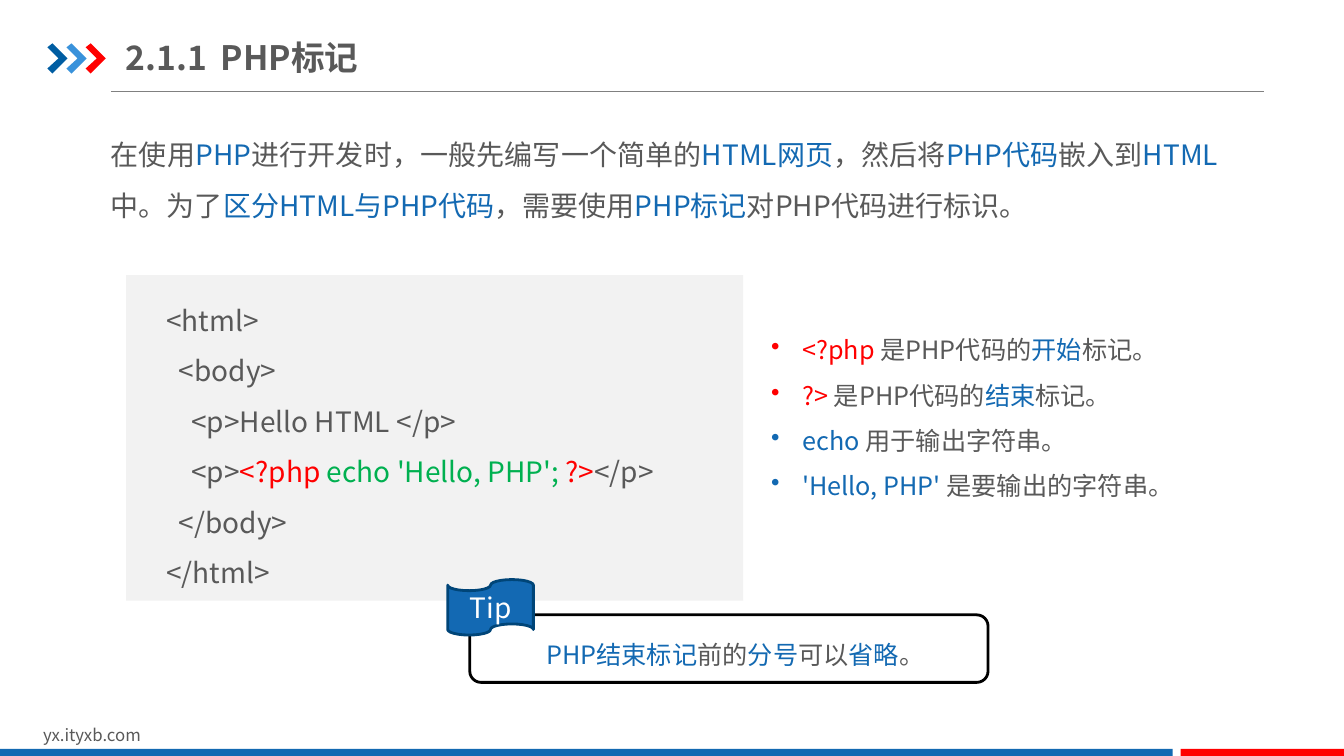
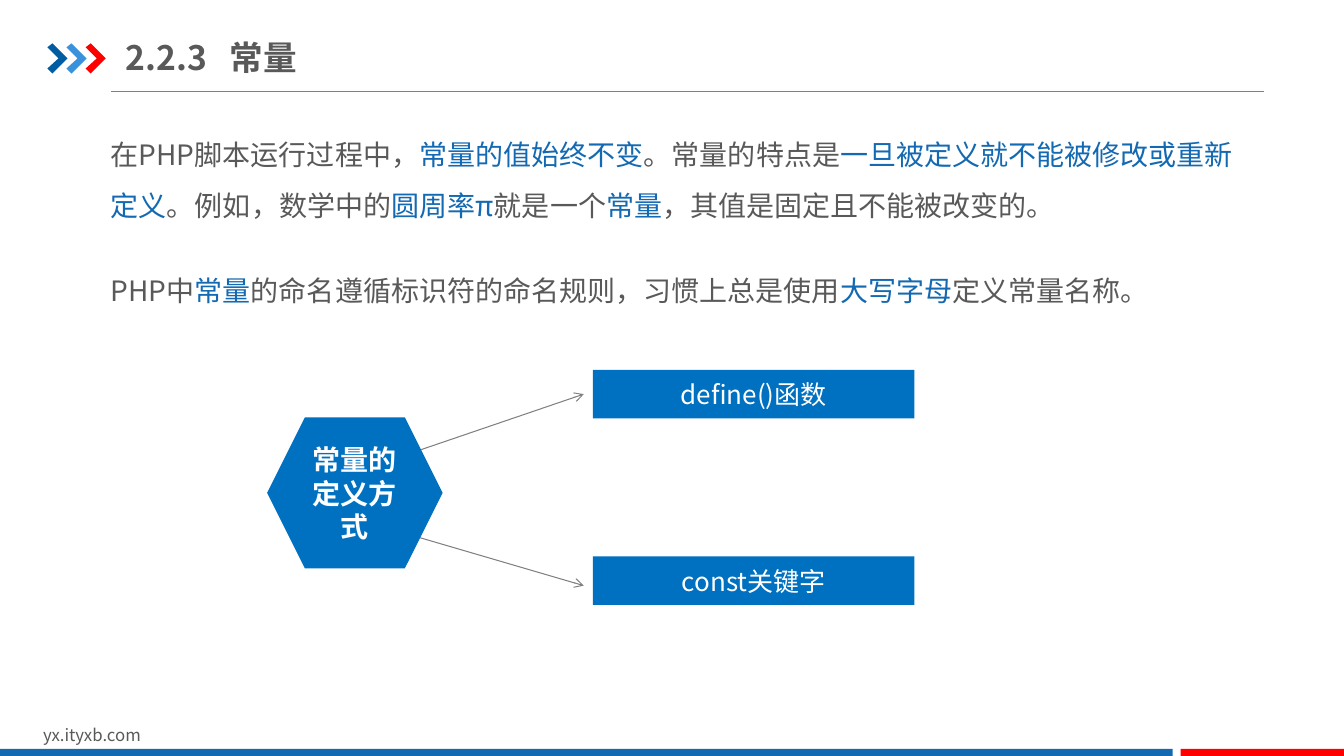
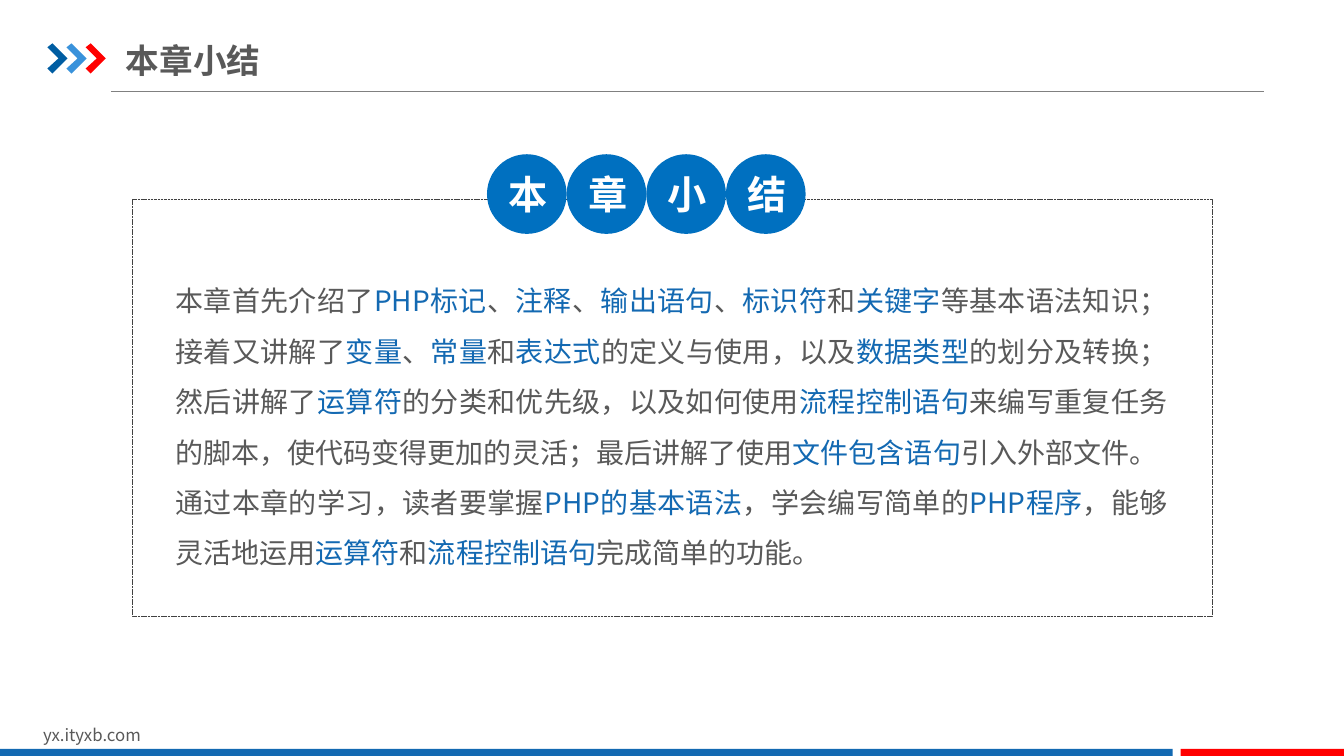
from dataclasses import dataclass
from itertools import cycle

from lxml import etree
from pptx import Presentation
from pptx.dml.color import RGBColor
from pptx.enum import dml, shapes, text
from pptx.oxml.ns import qn
from pptx.util import Inches, Pt


@dataclass(frozen=True)
class Theme:
    """Colours, font and type sizes of the deck."""
    font: str = "Noto Sans CJK SC"
    body: str = "595959"
    accent: str = "1369B2"
    red: str = "FF0000"
    green: str = "00B050"
    white: str = "FFFFFF"
    black: str = "000000"
    node: str = "0070C0"
    rule: str = "808080"
    panel: str = "F2F2F2"
    dash: str = "404040"
    tag: str = "1369B3"
    tag_line: str = "004578"
    chevrons: tuple = ("005DA2", "3992DB", "FF0000")
    badge_size: float = 28
    title_size: float = 24
    text_size: float = 20
    node_size: float = 18.6
    list_size: float = 18
    footer_size: float = 12


@dataclass(frozen=True)
class Box:
    """A rectangle in inches."""
    left: float
    top: float
    width: float
    height: float

    def inner(self, left, top, width, height):
        """Return a box placed relative to this one."""
        return Box(self.left + left, self.top + top, width, height)

    def emu(self):
        """Return the four lengths for python-pptx."""
        return [Inches(v) for v in (self.left, self.top, self.width, self.height)]


THEME = Theme()
MIXED = (THEME.body, THEME.accent)
ALIGN = text.PP_ALIGN
MIDDLE = text.MSO_ANCHOR.MIDDLE
SHAPE = shapes.MSO_SHAPE


def write_runs(para, line, size, palette, bold=False):
    """Write text split at bars, taking colours from the palette in turn."""
    for part, colour in zip(line.split("|"), cycle(palette)):
        if not part:
            continue
        span = para.add_run()
        span.text = part
        span.font.size = Pt(size)
        span.font.bold = bold
        span.font.color.rgb = RGBColor.from_string(colour)
        span.font.name = THEME.font
        props = span._r.get_or_add_rPr()
        etree.SubElement(props, qn("a:ea"), typeface=THEME.font)


def add_text(page, box, lines, size=THEME.text_size, palette=MIXED, spacing=1.5,
             align=ALIGN.LEFT, anchor=text.MSO_ANCHOR.TOP, insets=(0.1, 0.05),
             bold=False):
    """Add a text box; a line may be a pair of text and its own palette."""
    area = page.shapes.add_textbox(*box.emu())
    frame = area.text_frame
    frame.word_wrap = True
    frame.vertical_anchor = anchor
    frame.margin_left = frame.margin_right = Inches(insets[0])
    frame.margin_top = frame.margin_bottom = Inches(insets[1])
    for index, line in enumerate(lines):
        para = frame.paragraphs[0] if index == 0 else frame.add_paragraph()
        para.alignment = align
        para.line_spacing = spacing
        words, colours = (line, palette) if isinstance(line, str) else line
        write_runs(para, words, size, colours, bold)
    return frame


def add_block(page, box, kind, fill=None, line=None, width=1, label="",
              size=THEME.text_size, bold=False):
    """Add a preset shape with an optional centred white label."""
    block = page.shapes.add_shape(kind, *box.emu())
    block.shadow.inherit = False
    if fill:
        block.fill.solid()
        block.fill.fore_color.rgb = RGBColor.from_string(fill)
    else:
        block.fill.background()
    if line:
        block.line.color.rgb = RGBColor.from_string(line)
        block.line.width = Pt(width)
    else:
        block.line.fill.background()
    if label:
        frame = block.text_frame
        frame.word_wrap = True
        frame.vertical_anchor = MIDDLE
        frame.paragraphs[0].alignment = ALIGN.CENTER
        write_runs(frame.paragraphs[0], label, size, (THEME.white,), bold)
    return block


def add_rule(page, start, end, arrow=False):
    """Add a thin grey line, with an open arrowhead if asked."""
    rule = page.shapes.add_connector(
        shapes.MSO_CONNECTOR.STRAIGHT, *[Inches(v) for v in (*start, *end)])
    rule.line.color.rgb = RGBColor.from_string(THEME.rule)
    rule.line.width = Pt(0.75)
    if arrow:
        etree.SubElement(rule.line._get_or_add_ln(), qn("a:tailEnd"), type="arrow")
    etree.SubElement(rule._element.spPr, qn("a:effectLst"))


def add_chevrons(page, box):
    """Draw the row of three chevrons beside the title."""
    outline = [(0, 0.04), (0.05, 0), (0.2, 0.15), (0.05, 0.3), (0, 0.25), (0.11, 0.15)]
    group = page.shapes.add_group_shape()
    for index, colour in enumerate(THEME.chevrons):
        points = [(Inches(box.left + 0.19 * index + x), Inches(box.top + y))
                  for x, y in outline]
        builder = group.shapes.build_freeform(*points[0])
        builder.add_line_segments(points[1:], close=True)
        chevron = builder.convert_to_shape()
        chevron.shadow.inherit = False
        chevron.fill.solid()
        chevron.fill.fore_color.rgb = RGBColor.from_string(colour)
        chevron.line.fill.background()


def add_page(deck, title, title_box, tab=None):
    """Add a blank page with the shared title band and footer."""
    page = deck.slides.add_slide(deck.slide_layouts[6])
    add_rule(page, (1.1, 0.91), (12.54, 0.91))
    add_chevrons(page, Box(0.47, 0.43, 0.58, 0.3))
    add_text(page, Box(0.33, 7.14, 3.18, 0.3), ["yx.ityxb.com"],
             THEME.footer_size, spacing=1)
    add_block(page, Box(0, 7.43, 11.63, 0.09), SHAPE.RECTANGLE, THEME.accent)
    add_block(page, Box(11.71, 7.43, 1.63, 0.09), SHAPE.RECTANGLE, THEME.red)
    frame = add_text(page, title_box, [title], THEME.title_size, spacing=1,
                     anchor=MIDDLE, insets=(0, 0.07), bold=True)
    if tab:
        props = frame.paragraphs[0]._p.get_or_add_pPr()
        stops = etree.SubElement(props, qn("a:tabLst"))
        etree.SubElement(stops, qn("a:tab"), pos=str(Inches(tab)), algn="l")
    return page


def add_code(page, box, lines):
    """Show a code listing on a grey panel."""
    add_block(page, box, SHAPE.RECTANGLE, THEME.panel)
    add_text(page, box.inner(0.3, 0.05, box.width - 0.37, box.height - 0.1),
             lines, anchor=MIDDLE)


def add_bullets(page, box, lines):
    """Add a bulleted list with a hanging indent."""
    frame = add_text(page, box, lines, THEME.list_size, align=ALIGN.JUSTIFY)
    for para in frame.paragraphs:
        props = para._p.get_or_add_pPr()
        props.set("marL", str(Inches(0.31)))
        props.set("indent", str(-Inches(0.31)))
        etree.SubElement(props, qn("a:buChar"), char="•")


def add_tip(page, box, line):
    """Add a framed tip with a wavy tag at its upper left corner."""
    add_text(page, box.inner(0.88, 0.39, box.width - 1.04, 0.56), [line],
             THEME.list_size)
    add_block(page, box.inner(0.22, 0.35, box.width - 0.22, box.height - 0.35),
              SHAPE.ROUNDED_RECTANGLE, line=THEME.black, width=2)
    add_block(page, box.inner(0, 0, 0.85, 0.55), SHAPE.FLOWCHART_PUNCHED_TAPE,
              THEME.tag, THEME.tag_line, 2, "Tip")


def add_branches(page, box, root, branches):
    """Link a hexagon to the boxes stacked on its right."""
    step = (box.height - 0.48) / (len(branches) - 1)
    for index, (label, start, end) in enumerate(branches):
        add_block(page, box.inner(3.23, step * index, 3.19, 0.48), SHAPE.RECTANGLE,
                  THEME.node, label=label, size=THEME.node_size)
        add_rule(page, (box.left + 1.5, box.top + start),
                 (box.left + 3.14, box.top + end), arrow=True)
    add_block(page, box.inner(0, 0.47, 1.74, 1.5), SHAPE.HEXAGON, THEME.node,
              label=root, bold=True)


def add_summary(page, box, heading, lines):
    """Add a dashed frame with text and a row of round heading badges."""
    frame = add_block(page, box, SHAPE.ROUNDED_RECTANGLE, line=THEME.dash, width=0.25)
    frame.adjustments[0] = 0
    frame.line.dash_style = dml.MSO_LINE.SQUARE_DOT
    add_text(page, box.inner(0.43, 0.67, box.width - 0.87, 3.03), lines,
             align=ALIGN.JUSTIFY, insets=(0, 0))
    side = 0.79
    for index, letter in enumerate(heading):
        add_block(page, box.inner(3.52 + side * index, -0.45, side, side), SHAPE.OVAL,
                  THEME.node, label=letter, size=THEME.badge_size, bold=True)


def tags_page(deck):
    """Build the page on PHP tags."""
    page = add_page(deck, "2.1.1\tPHP标记", Box(1.25, 0.29, 4.26, 0.55), tab=0.94)
    add_text(page, Box(1, 1.15, 11.18, 1.11), [
        "在使用|PHP|进行开发时，一般先编写一个简单的|HTML网页|，然后将|PHP代码|嵌入到|HTML|"
        "中。为了|区分HTML与PHP代码|，需要使用|PHP标记|对PHP代码进行标识。"],
        align=ALIGN.JUSTIFY)
    php_line = (THEME.body, THEME.red, THEME.green, THEME.red)
    add_code(page, Box(1.25, 2.73, 6.12, 3.23), [
        "<html>",
        "  <body>",
        "    <p>Hello HTML </p>",
        ("    <p>|<?php| echo 'Hello, PHP'; |?>|</p>", php_line),
        "  </body>",
        "</html>"])
    tag_line = (THEME.red, THEME.body, THEME.accent, THEME.body)
    word_line = (THEME.accent, THEME.body)
    add_bullets(page, Box(7.55, 3.12, 4.93, 1.92), [
        ("<?php |是PHP代码的|开始|标记。", tag_line),
        ("?> |是PHP代码的|结束|标记。", tag_line),
        ("echo |用于输出字符串。", word_line),
        ("'Hello, PHP' |是要输出的字符串。", word_line)])
    add_tip(page, Box(4.44, 5.75, 5.36, 1.02), "|PHP结束标记|前的|分号|可以|省略|。")


def constants_page(deck):
    """Build the page on constants."""
    page = add_page(deck, "2.2.3\t常量", Box(1.25, 0.29, 4.26, 0.55), tab=1.03)
    frame = add_text(page, Box(1, 1.15, 11.58, 2.42), [
        "在PHP脚本运行过程中，|常量的值始终不变|。常量的特点是|一旦被定义就不能被修改或重新定义|"
        "。例如，数学中的|圆周率π|就是一个|常量|，其值是固定且不能被改变的。",
        "PHP中|常量|的命名遵循标识符的命名规则，习惯上总是使用|大写字母|定义常量名称。"])
    frame.paragraphs[1].space_before = Pt(25)
    add_branches(page, Box(2.65, 3.67, 6.42, 2.33), "常量的定义方式", [
        ("define()函数", 0.8, 0.24),
        ("const关键字", 1.66, 2.14)])


def summary_page(deck):
    """Build the chapter summary page."""
    page = add_page(deck, "本章小结", Box(1.25, 0.36, 5.26, 0.48))
    add_summary(page, Box(1.31, 1.98, 10.71, 4.13), "本章小结", [
        "本章首先介绍了|PHP标记|、|注释|、|输出语句|、|标识符|和|关键字|等基本语法知识；"
        "接着又讲解了|变量|、|常量|和|表达式|的定义与使用，以及|数据类型|的划分及转换；"
        "然后讲解了|运算符|的分类和优先级，以及如何使用|流程控制语句|来编写重复任务的脚本，"
        "使代码变得更加的灵活；最后讲解了使用|文件包含语句|引入外部文件。",
        "通过本章的学习，读者要掌握|PHP的基本语法|，学会编写简单的|PHP程序|，"
        "能够灵活地运用|运算符|和|流程控制语句|完成简单的功能。"])


def main():
    """Build and save the deck."""
    deck = Presentation()
    deck.slide_width, deck.slide_height = Inches(13.33), Inches(7.5)
    for build in (tags_page, constants_page, summary_page):
        build(deck)
    deck.save("out.pptx")


if __name__ == "__main__":
    main()
